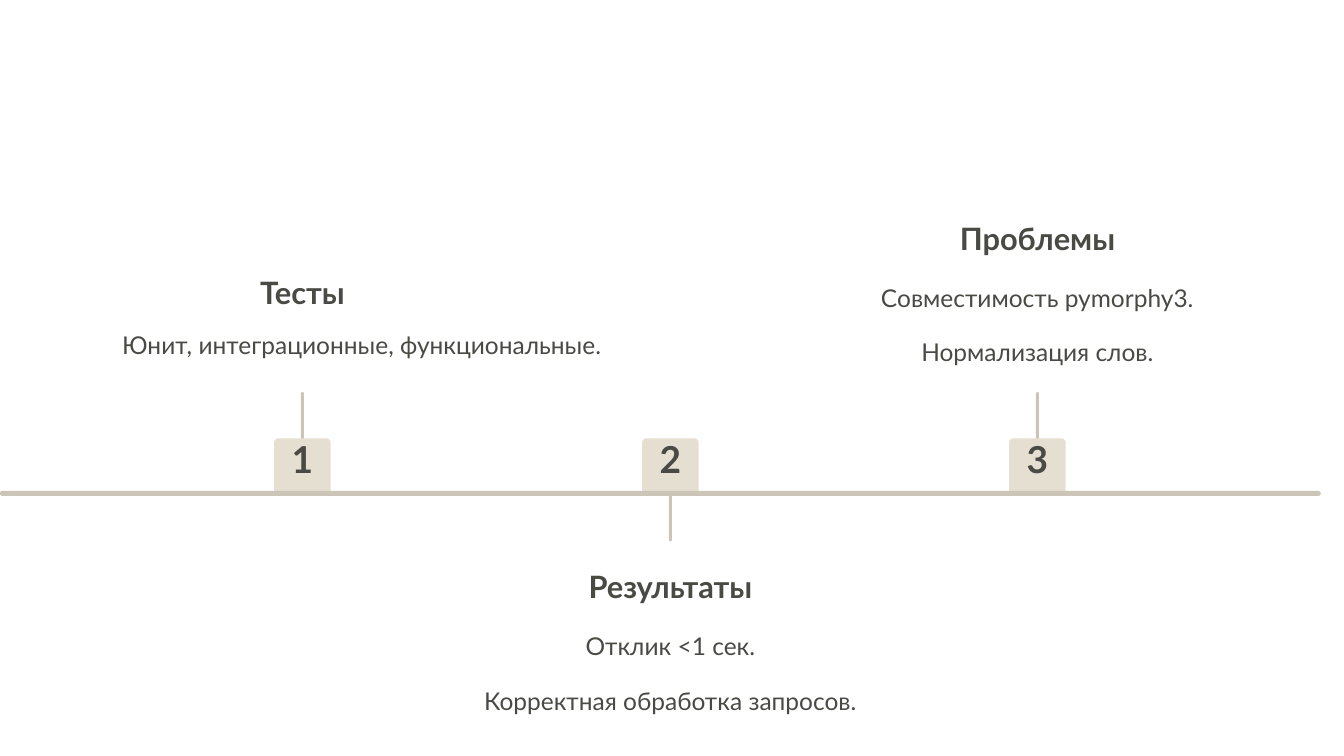
"""Build a three-step testing timeline slide."""
from dataclasses import dataclass

from pptx import Presentation
from pptx import util as u
from pptx.dml.color import RGBColor
from pptx.enum import shapes, text
from pptx.slide import Slide

PX = 9144
INK = RGBColor(0x4A, 0x4A, 0x45)
LINE = RGBColor(0xCB, 0xC5, 0xB8)
BADGE = RGBColor(0xE5, 0xDF, 0xD2)
FONT = "Lato"
AXIS_TOP = 487
BODY_PITCH = 54


@dataclass(frozen=True)
class TextStyle:
    width: int
    height: int
    size: float
    leading: float
    bold: bool


@dataclass(frozen=True)
class Milestone:
    center: int
    stem_top: int
    heading: str
    heading_top: int
    body: tuple[str, ...]
    body_center: int
    body_top: int


NUMBER = TextStyle(37, 47, 26.5, 26.5, True)
HEADING = TextStyle(310, 39, 22, 27.5, True)
BODY = TextStyle(648, 40, 17.5, 28.5, False)

MILESTONES = (
    Milestone(300, 389, "Тесты", 270,
              ("Юнит, интеграционные, функциональные.",), 359, 317),
    Milestone(665, 463, "Результаты", 562,
              ("Отклик <1 сек.", "Корректная обработка запросов."), 665, 616),
    Milestone(1029, 389, "Проблемы", 216,
              ("Совместимость pymorphy3.", "Нормализация слов."), 1029, 270),
)


def px(length: float) -> u.Emu:
    return u.Emu(round(length * PX))


def add_bar(slide: Slide, left: float, top: int, width: int, height: int,
            color: RGBColor, rounding: float = 0.5) -> None:
    shape = slide.shapes.add_shape(
        shapes.MSO_SHAPE.ROUNDED_RECTANGLE, px(left), px(top), px(width), px(height))
    shape.adjustments[0] = rounding
    shape.shadow.inherit = False
    shape.fill.solid()
    shape.fill.fore_color.rgb = color
    shape.line.fill.background()


def add_label(slide: Slide, wording: str, center: int, top: int, style: TextStyle) -> None:
    shape = slide.shapes.add_textbox(
        px(center - style.width / 2), px(top), px(style.width), px(style.height))
    frame = shape.text_frame
    frame.margin_left = frame.margin_right = frame.margin_top = frame.margin_bottom = 0
    frame.word_wrap = False
    frame.text = wording
    paragraph = frame.paragraphs[0]
    paragraph.alignment = text.PP_ALIGN.CENTER
    paragraph.line_spacing = u.Pt(style.leading)
    font = paragraph.runs[0].font
    font.name = FONT
    font.size = u.Pt(style.size)
    font.bold = style.bold
    font.color.rgb = INK


def add_milestone(slide: Slide, number: int, milestone: Milestone) -> None:
    center = milestone.center
    add_bar(slide, center - 1.5, milestone.stem_top, 3, 74, LINE)
    add_bar(slide, center - 28, 435, 56, 56, BADGE, 0.07)
    add_label(slide, str(number), center, 440, NUMBER)
    add_label(slide, milestone.heading, center, milestone.heading_top, HEADING)
    for row, wording in enumerate(milestone.body):
        add_label(slide, wording, milestone.body_center,
                  milestone.body_top + row * BODY_PITCH, BODY)


def main() -> None:
    presentation = Presentation()
    presentation.slide_width = px(1333)
    presentation.slide_height = px(750)
    slide = presentation.slides.add_slide(presentation.slide_layouts[6])
    for number, milestone in enumerate(MILESTONES, start=1):
        add_milestone(slide, number, milestone)
    add_bar(slide, 0, AXIS_TOP, 1310, 5, LINE)
    presentation.save("out.pptx")


if __name__ == "__main__":
    main()
